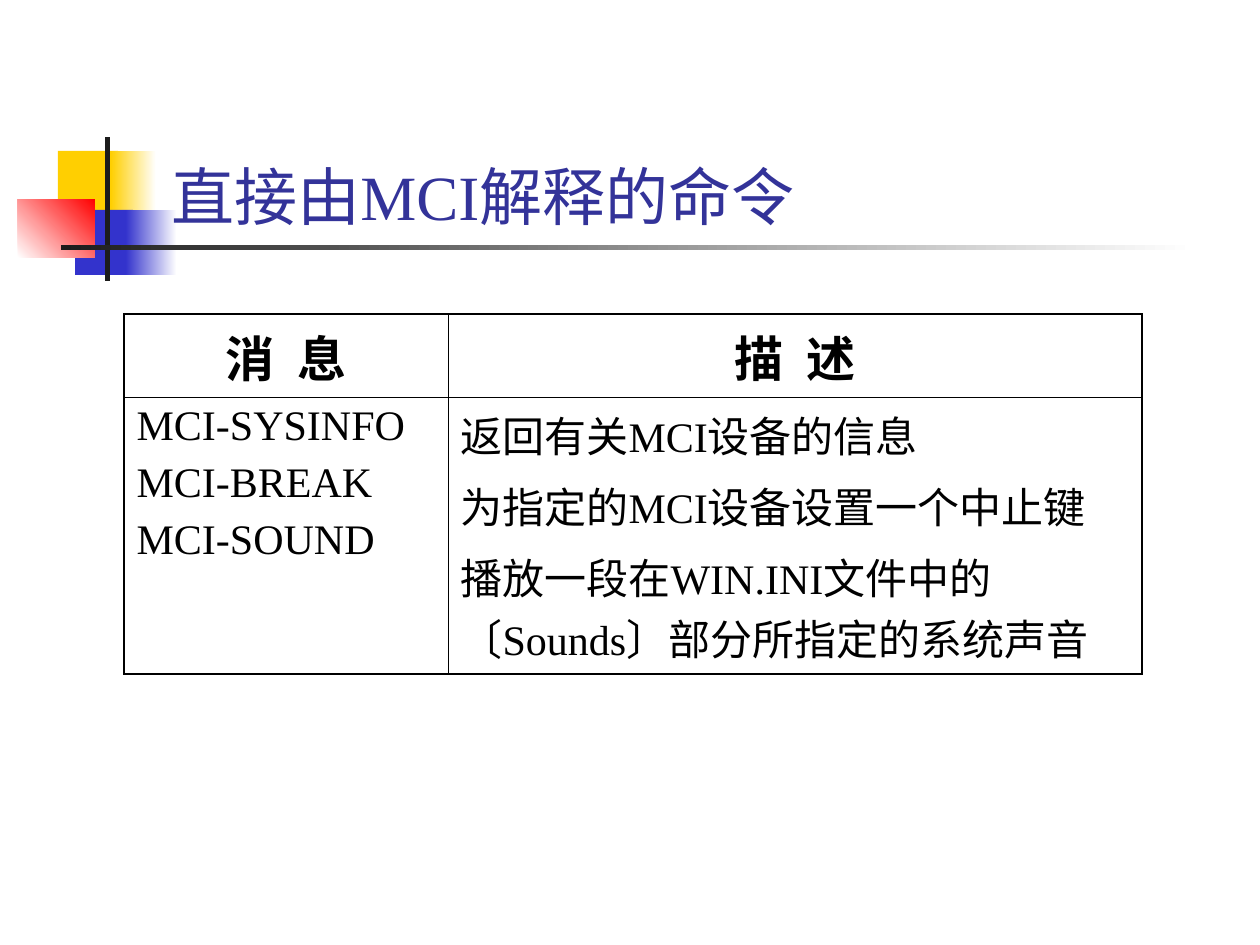
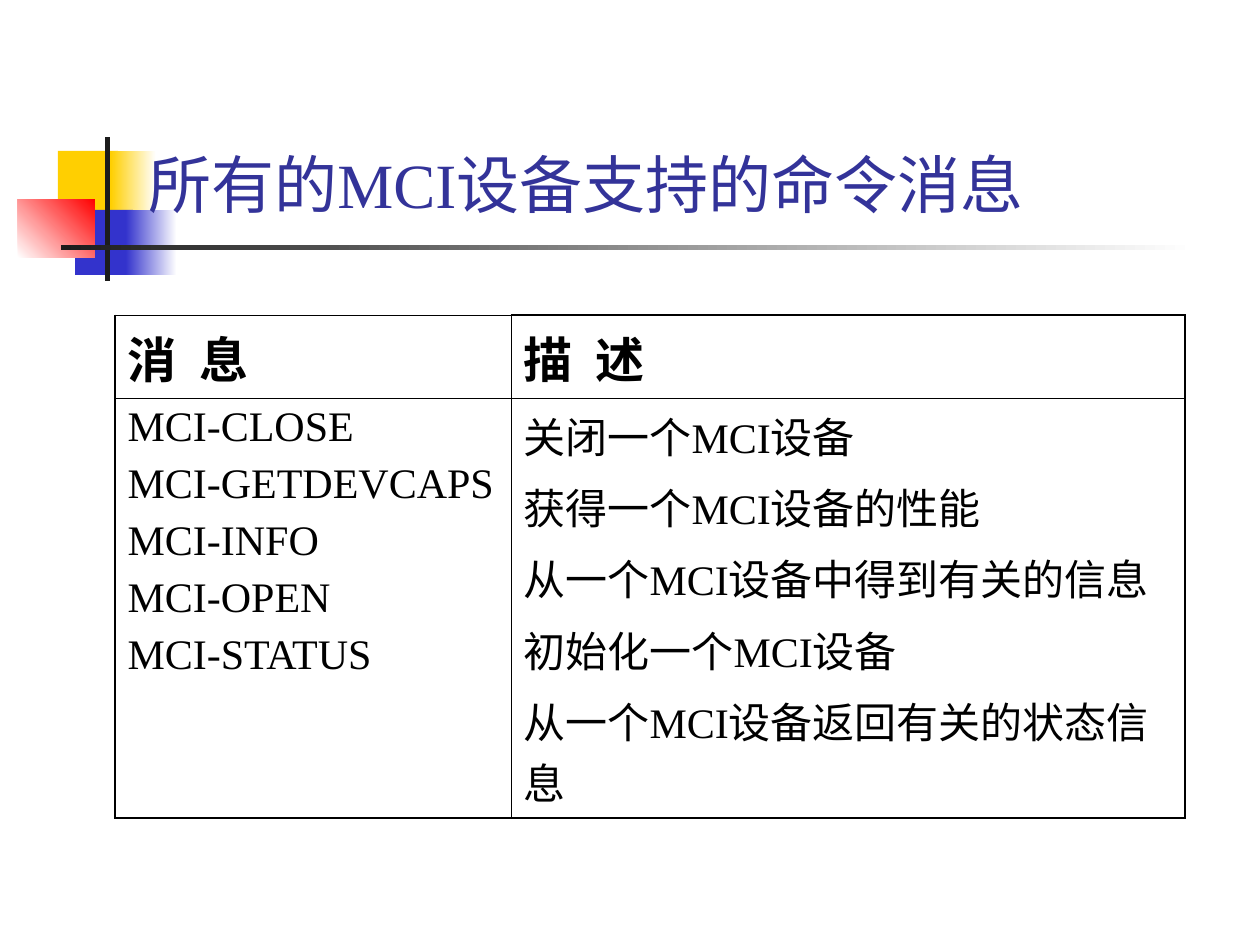
from lxml import etree
from pptx import Presentation
from pptx import util as u
from pptx.dml.color import RGBColor
from pptx.enum import shapes, text
from pptx.oxml import ns

PX = 914400 / 126
YELLOW = RGBColor(0xFF, 0xCF, 0x01)
BLUE = RGBColor(0x33, 0x33, 0xCC)
RED = RGBColor(0xFF, 0x00, 0x00)
WHITE = RGBColor(0xFF, 0xFF, 0xFF)
DARK = RGBColor(0x1C, 0x1C, 0x1C)
BLACK = RGBColor(0x00, 0x00, 0x00)
TITLE = RGBColor(0x33, 0x33, 0x99)
SERIF = "Times New Roman"
SANS = "Noto Sans CJK SC"
LATIN = "Lato"
THICK, THIN = 1.08, 0.45
HEADER = ("消 息", "描 述")


def px(*values):
    return [u.Emu(round(v * PX)) for v in values]


def set_font(item, name, size, color, bold=False):
    item.font.name = name
    item.font.size = u.Pt(size)
    item.font.color.rgb = color
    item.font.bold = bold


def add_block(s, box, start, end=None, angle=0):
    sp = s.shapes.add_shape(shapes.MSO_SHAPE.RECTANGLE, *px(*box))
    sp.shadow.inherit = False
    sp.line.fill.background()
    if end is None:
        sp.fill.solid()
        sp.fill.fore_color.rgb = start
        return
    sp.fill.gradient()
    sp.fill.gradient_angle = angle
    for stop, color in zip(sp.fill.gradient_stops, (start, end)):
        stop.color.rgb = color


def add_ornament(s, x, y):
    add_block(s, (x + 41, y + 15, 60, 66), YELLOW)
    add_block(s, (x + 94, y + 15, 45, 66), YELLOW, WHITE)
    add_block(s, (x + 58, y + 74, 58, 65), BLUE)
    add_block(s, (x + 109, y + 74, 51, 65), BLUE, WHITE)
    add_block(s, (x + 1, y + 63, 77, 59), WHITE, RED, 45)
    add_block(s, (x + 88, y + 1, 5, 144), DARK)
    add_block(s, (x + 44, y + 109, 1134, 5), DARK, WHITE)


def add_title(s, box, title):
    tf = s.shapes.add_textbox(*px(*box)).text_frame
    tf.word_wrap = True
    tf.vertical_anchor = text.MSO_ANCHOR.BOTTOM
    p = tf.paragraphs[0]
    for words, name, size in ((title, SERIF, 36), (" ", LATIN, 44)):
        r = p.add_run()
        r.text = words
        set_font(r, name, size, TITLE)


def set_borders(cell, widths):
    tc_pr = cell._tc.get_or_add_tcPr()
    for side, width in zip("LRTB", widths):
        ln = etree.SubElement(tc_pr, ns.qn(f"a:ln{side}"), w=str(u.Pt(width)))
        fill = etree.SubElement(ln, ns.qn("a:solidFill"))
        etree.SubElement(fill, ns.qn("a:srgbClr"), val=str(BLACK))


def fill_cell(cell, lines, font, align, tracking=0):
    tf = cell.text_frame
    tf.text = "\n".join(lines)
    for i, p in enumerate(tf.paragraphs):
        p.alignment = align
        if i:
            p.space_before = u.Pt(6)
        set_font(p, *font)
        if tracking:
            p._p.pPr.find(ns.qn("a:defRPr")).set("spc", str(tracking))


def add_message_table(s, left, top, cols, rows, messages, align, tops):
    frame = s.shapes.add_table(2, 2, *px(left, top, sum(cols), sum(rows)))
    table = frame.table
    table.first_row = table.horz_banding = False
    for column, width in zip(table.columns, px(*cols)):
        column.width = width
    for row, height in zip(table.rows, px(*rows)):
        row.height = height
    for c, (head, lines) in enumerate(zip(HEADER, zip(*messages))):
        sides = (THIN, THICK) if c else (THICK, THIN)
        head_cell, body_cell = table.cell(0, c), table.cell(1, c)
        fill_cell(head_cell, [head], (SANS, 28, BLACK, True), align, 330)
        fill_cell(body_cell, lines, (SERIF, 24, BLACK), text.PP_ALIGN.LEFT)
        set_borders(head_cell, (*sides, tops[c], THIN))
        set_borders(body_cell, (*sides, THIN, THICK))
        for cell in (head_cell, body_cell):
            cell.fill.background()


def add_message_slide(prs, title_box, title, **table):
    s = prs.slides.add_slide(prs.slide_layouts[6])
    add_ornament(s, 17, 136)
    add_title(s, title_box, title)
    add_message_table(s, **table)


def main():
    prs = Presentation()
    prs.slide_width, prs.slide_height = px(1260, 945)
    add_message_slide(
        prs, (159, 136, 849, 106), "直接由MCI解释的命令",
        left=124, top=314, cols=(324, 694), rows=(83, 277),
        messages=[
            ("MCI-SYSINFO", "返回有关MCI设备的信息"),
            ("MCI-BREAK", "为指定的MCI设备设置一个中止键"),
            ("MCI-SOUND", "播放一段在WIN.INI文件中的〔Sounds〕部分所指定的系统声音"),
        ],
        align=text.PP_ALIGN.CENTER, tops=(THICK, THICK))
    add_message_slide(
        prs, (136, 136, 914, 94), "所有的MCI设备支持的命令消息",
        left=115, top=315, cols=(396, 674), rows=(83, 420),
        messages=[
            ("MCI-CLOSE", "关闭一个MCI设备"),
            ("MCI-GETDEVCAPS", "获得一个MCI设备的性能"),
            ("MCI-INFO", "从一个MCI设备中得到有关的信息"),
            ("MCI-OPEN", "初始化一个MCI设备"),
            ("MCI-STATUS", "从一个MCI设备返回有关的状态信息"),
        ],
        align=text.PP_ALIGN.LEFT, tops=(THIN, THICK))
    prs.save("out.pptx")


if __name__ == "__main__":
    main()
